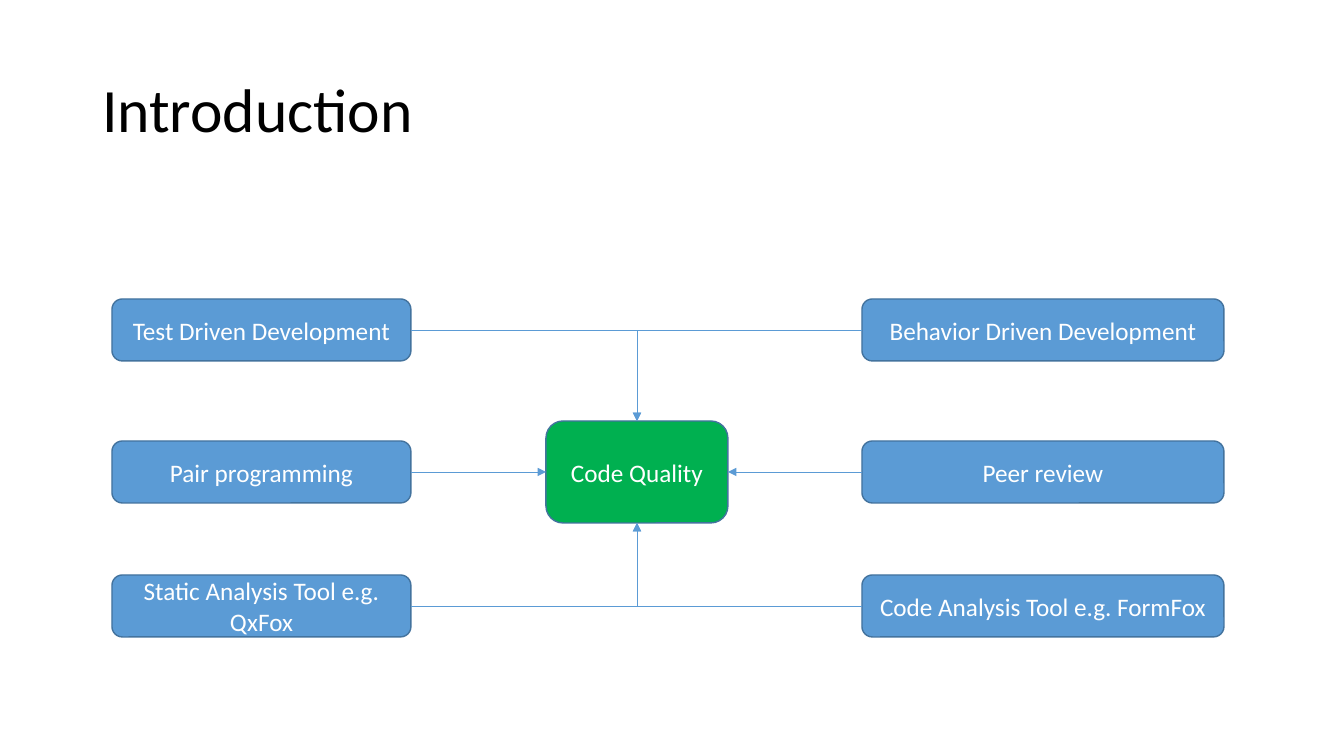
from dataclasses import dataclass

from lxml.etree import SubElement
from pptx import Presentation
from pptx.dml.color import RGBColor as RGB
from pptx.enum.shapes import MSO_CONNECTOR as CONN, MSO_SHAPE as SHAPE
from pptx.enum.text import MSO_ANCHOR as ANCHOR, PP_ALIGN as ALIGN
from pptx.oxml.ns import qn
from pptx.util import Emu, Pt

EMU_PER_PX = 914400 / 100.8
TOP, LEFT, BOTTOM, RIGHT = range(4)


@dataclass(frozen=True)
class Theme:
    font: str = "Calibri"
    title_size: int = 44
    box_size: int = 18
    title: RGB = RGB(0x00, 0x00, 0x00)
    box_text: RGB = RGB(0xFF, 0xFF, 0xFF)
    practice: RGB = RGB(0x5B, 0x9B, 0xD5)
    goal: RGB = RGB(0x00, 0xB0, 0x50)
    border: RGB = RGB(0x43, 0x73, 0x9E)
    arrow: RGB = RGB(0x5B, 0x9B, 0xD5)
    border_width: float = 1
    arrow_width: float = 0.5


THEME = Theme()

COLUMNS = [(112, 299, RIGHT, LEFT), (862, 362, LEFT, RIGHT)]
ROWS = [
    (299, TOP, ("Test Driven Development", "Behavior Driven Development")),
    (441, None, ("Pair programming", "Peer review")),
    (575, BOTTOM, ("Static Analysis Tool e.g. QxFox",
                   "Code Analysis Tool e.g. FormFox")),
]
BOX_HEIGHT = 62


def px(n):
    return Emu(round(n * EMU_PER_PX))


def write(tf, text, size, color, align):
    tf.text = text
    tf.word_wrap = True
    tf.vertical_anchor = ANCHOR.MIDDLE
    p = tf.paragraphs[0]
    p.alignment = align
    font = p.runs[0].font
    font.name = THEME.font
    font.size = Pt(size)
    font.color.rgb = color


def set_title(slide, text, x, y, w, h):
    s = slide.shapes.title
    s.left, s.top, s.width, s.height = map(px, (x, y, w, h))
    write(s.text_frame, text, THEME.title_size, THEME.title, ALIGN.LEFT)
    s.text_frame.paragraphs[0].line_spacing = 0.9


def add_box(slide, text, x, y, w, h, fill):
    s = slide.shapes.add_shape(SHAPE.ROUNDED_RECTANGLE, *map(px, (x, y, w, h)))
    s.shadow.inherit = False
    s.fill.solid()
    s.fill.fore_color.rgb = fill
    s.line.color.rgb = THEME.border
    s.line.width = Pt(THEME.border_width)
    write(s.text_frame, text, THEME.box_size, THEME.box_text, ALIGN.CENTER)
    return s


def add_arrow(slide, source, source_site, target, target_site, bent):
    kind = CONN.ELBOW if bent else CONN.STRAIGHT
    s = slide.shapes.add_connector(kind, 0, 0, 0, 0)
    s.begin_connect(source, source_site)
    s.end_connect(target, target_site)
    s.line.color.rgb = THEME.arrow
    s.line.width = Pt(THEME.arrow_width)
    props = s._element.spPr
    if bent:
        props.find(qn("a:prstGeom")).set("prst", "bentConnector2")
    SubElement(props.find(qn("a:ln")), qn("a:tailEnd"), type="triangle")
    SubElement(props, qn("a:effectLst"))


def main():
    prs = Presentation()
    prs.slide_width, prs.slide_height = px(1344), px(756)
    slide = prs.slides.add_slide(prs.slide_layouts[5])
    set_title(slide, "Introduction", 92, 40, 1160, 146)
    goal = add_box(slide, "Code Quality", 546, 421, 182, 102, THEME.goal)
    for y, goal_site, labels in ROWS:
        for label, (x, w, inner_site, facing_site) in zip(labels, COLUMNS):
            box = add_box(slide, label, x, y, w, BOX_HEIGHT, THEME.practice)
            bent = goal_site is not None
            site = goal_site if bent else facing_site
            add_arrow(slide, box, inner_site, goal, site, bent)
    prs.save("out.pptx")


if __name__ == "__main__":
    main()
